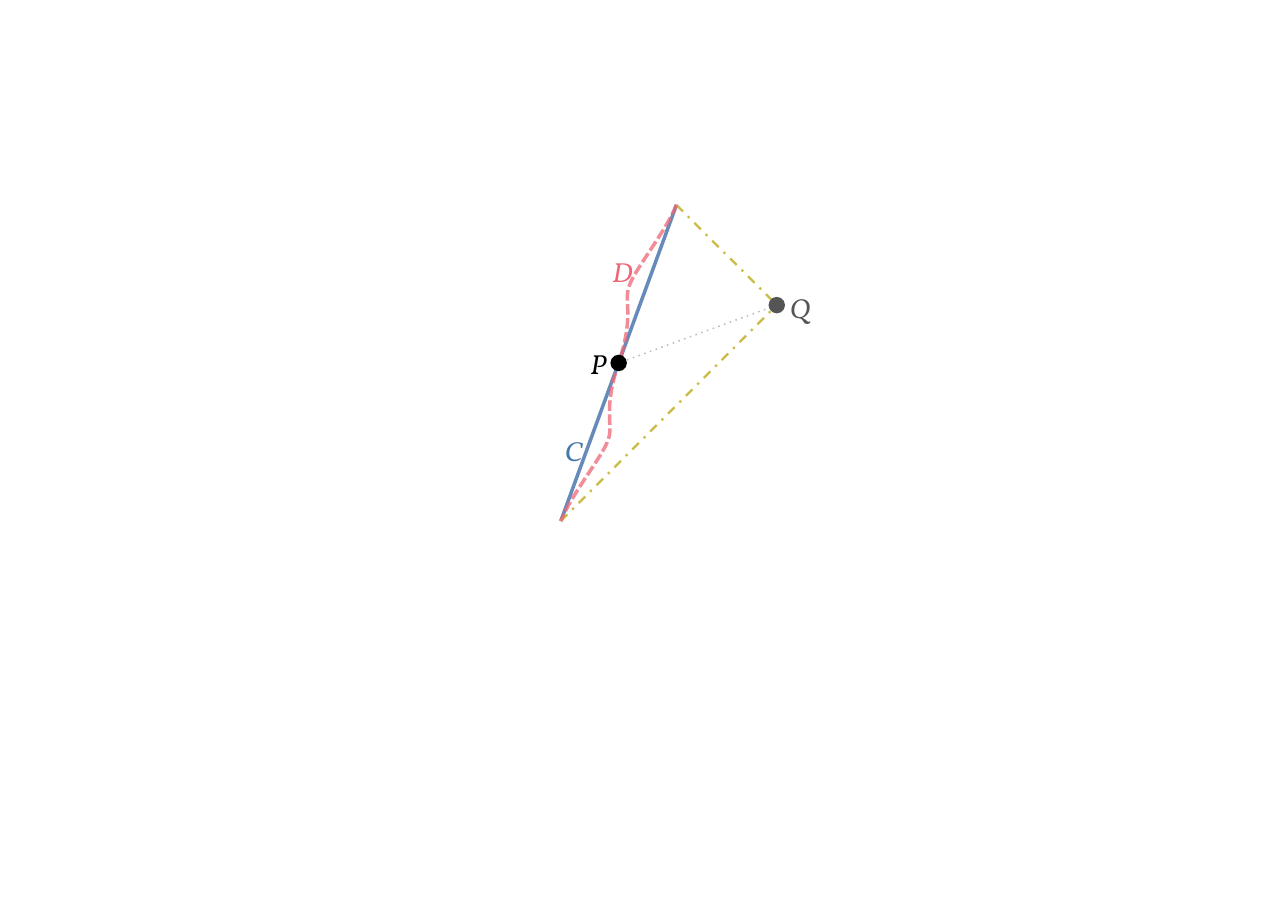
from lxml.etree import SubElement
from pptx import Presentation
from pptx.dml.color import RGBColor
from pptx.enum.shapes import MSO_CONNECTOR as Connector, MSO_SHAPE as Preset
from pptx.enum.text import MSO_AUTO_SIZE as AutoSize
from pptx.oxml.ns import qn
from pptx.util import Inches, Pt

COLUMNS, ROWS = 1169, 827
CURVE_STEPS = 16
DOT_SIZE = 15
LABEL_HEIGHT = 44


def paint(color_format, color):
    color_format.rgb = RGBColor.from_string(color)


def style_line(shape, color, width, dash="solid", opacity=100):
    paint(shape.line.color, color)
    shape.line.width = Pt(width)
    outline = shape._element.spPr.find(qn("a:ln"))
    SubElement(outline, qn("a:prstDash"), val=dash)
    if opacity < 100:
        tint = outline.find(".//" + qn("a:srgbClr"))
        SubElement(tint, qn("a:alpha"), val=str(opacity * 1000))


def add_segment(slide, place, start, end, **stroke):
    segment = slide.shapes.add_connector(Connector.STRAIGHT, *place(*start), *place(*end))
    style_line(segment, **stroke)
    SubElement(segment._element.spPr, qn("a:effectLst"))


def bezier(start, first, second, end):
    for step in range(1, CURVE_STEPS + 1):
        t = step / CURVE_STEPS
        weights = ((1 - t) ** 3, 3 * t * (1 - t) ** 2, 3 * t ** 2 * (1 - t), t ** 3)
        yield tuple(sum(w * p[axis] for w, p in zip(weights, (start, first, second, end)))
                    for axis in (0, 1))


def add_curve(slide, place, knots, **stroke):
    points = [place(*point) for i in range(0, len(knots) - 1, 3)
              for point in bezier(*knots[i:i + 4])]
    builder = slide.shapes.build_freeform(*place(*knots[0]))
    builder.add_line_segments(points, close=False)
    curve = builder.convert_to_shape()
    curve.shadow.inherit = False
    curve.fill.background()
    style_line(curve, **stroke)


def add_dot(slide, place, center, color):
    x, y = center
    left, top = place(x - DOT_SIZE / 2, y - DOT_SIZE / 2)
    right, bottom = place(x + DOT_SIZE / 2, y + DOT_SIZE / 2)
    dot = slide.shapes.add_shape(Preset.OVAL, left, top, right - left, bottom - top)
    dot.shadow.inherit = False
    dot.fill.solid()
    paint(dot.fill.fore_color, color)
    dot.line.fill.background()


def add_label(slide, place, letter, corner, width, color):
    x, y = corner
    left, top = place(x, y)
    right, bottom = place(x + width, y + LABEL_HEIGHT)
    label = slide.shapes.add_textbox(left, top, right - left, bottom - top)
    label.text_frame.word_wrap = False
    label.text_frame.auto_size = AutoSize.SHAPE_TO_FIT_TEXT
    run = label.text_frame.paragraphs[0].add_run()
    run.text = letter
    for name, value in {"name": "Vollkorn", "size": Pt(18), "italic": True}.items():
        setattr(run.font, name, value)
    paint(run.font.color, color)


def add_path_diagram(slide, box, column, row):
    left, top, width, height = box

    def place(x, y):
        return round((left + x) * column), round((top + y) * row)

    upper_end, lower_end = (105, 0), (0, height)
    point_q = (width, 91)
    point_p = (upper_end[0] / 2, height / 2)

    add_segment(slide, place, upper_end, lower_end, color="3465A4", width=2.3, opacity=75)
    for end in (lower_end, upper_end):
        add_segment(slide, place, end, point_q, color="CCBB44", width=1.5, dash="dashDot")
    add_segment(slide, place, point_q, point_p, color="BBBBBB", width=1, dash="dot")

    upper_half = [upper_end, (95, 25), (66, 60), (62, 74), (57, 86), (67, 101), point_p]
    lower_half = [(upper_end[0] - x, height - y) for x, y in reversed(upper_half[:-1])]
    add_curve(slide, place, upper_half + lower_half,
              color="EE6677", width=2.3, dash="sysDash", opacity=75)

    add_dot(slide, place, point_p, "000000")
    add_dot(slide, place, point_q, "555555")
    for letter, corner, label_width, color in (
        ("P", (17, 124), 35, "000000"),
        ("Q", (198, 73), 39, "555555"),
        ("D", (37, 41), 39, "EE6677"),
        ("C", (-6, 203), 36, "4477AA"),
    ):
        add_label(slide, place, letter, corner, label_width, color)


def main():
    deck = Presentation()
    deck.slide_width, deck.slide_height = Inches(11.69), Inches(8.27)
    slide = deck.slides.add_slide(deck.slide_layouts[6])
    add_path_diagram(slide, (509, 186, 196, 287),
                     deck.slide_width / COLUMNS, deck.slide_height / ROWS)
    deck.save("out.pptx")


if __name__ == "__main__":
    main()
